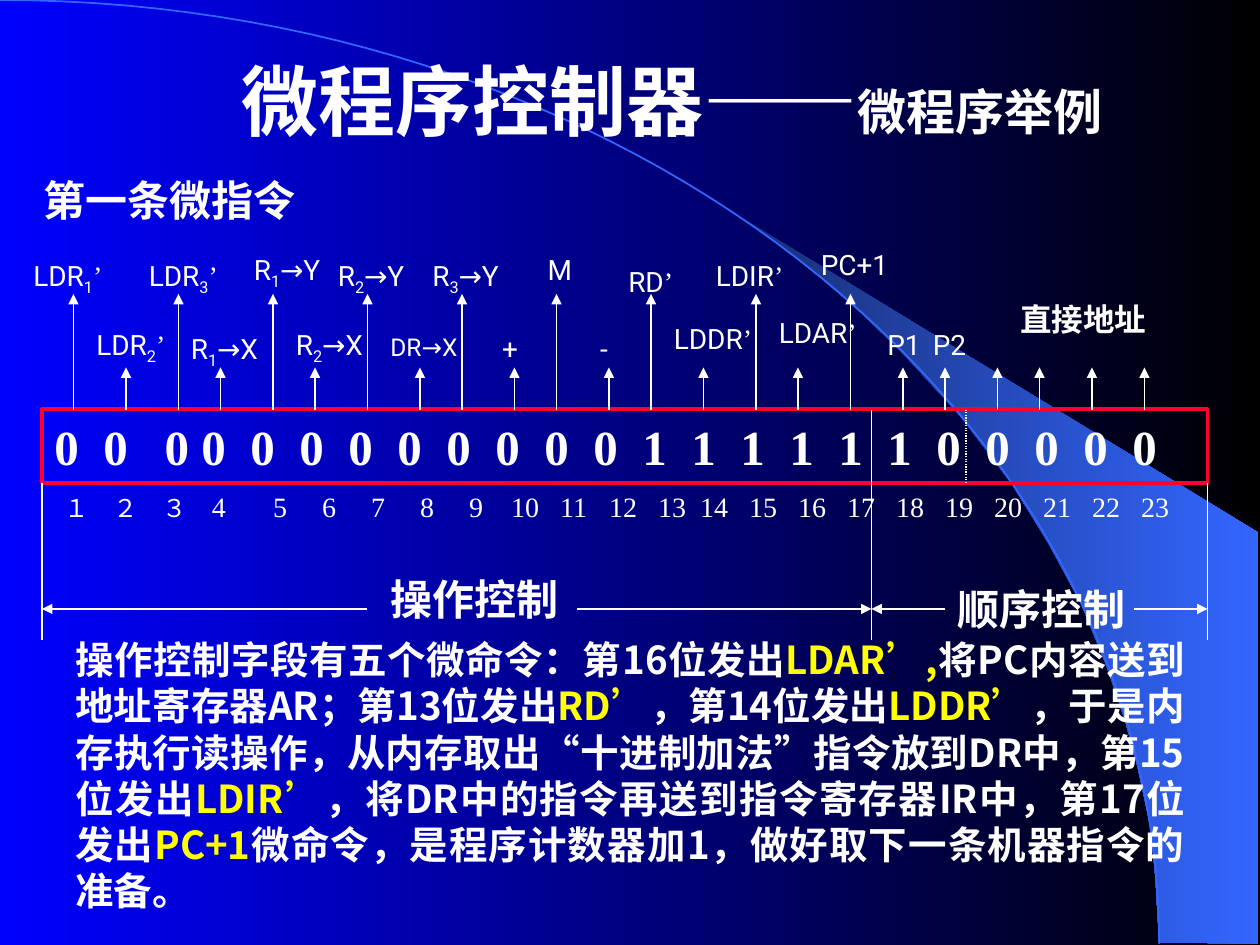
from itertools import groupby
from typing import NamedTuple

from lxml import etree
from pptx import Presentation, util as u
from pptx.dml.color import RGBColor
from pptx.enum import dml, shapes, text
from pptx.oxml.ns import qn

GRID = 2.54 / 12  # cm; the slide is 120 x 90 grid steps
WHITE, YELLOW, RED, BLUE = "FFFFFF", "FFFF00", "FF0033", "3366FF"
SANS, SERIF, HAN = "Roboto", "Times New Roman", "Noto Sans CJK SC"


class Run(NamedTuple):
    text: str
    size: float
    font: str = SANS
    color: str = WHITE
    bold: bool = False
    sub: bool = False


class Label(NamedTuple):
    x: float
    y: float
    head: str
    sub: str = ""
    tail: str = ""
    pad: int = 0  # left shift in widths of a space
    size: int = 16


class Line(NamedTuple):
    x1: float
    y1: float
    x2: float
    y2: float
    arrow: bool = False
    width: float = 0.75
    dots: bool = False


LABELS = [
    Label(2, 24, "LDR", "1", "’"), Label(8, 30.6, "LDR", "2", "’"),
    Label(13, 24, "LDR", "3", "’"), Label(17, 31, "R", "1", "→X"),
    Label(23, 23.5, "R", "1", "→Y"), Label(27, 30.6, "R", "2", "→X"),
    Label(31, 24, "R", "2", "→Y"), Label(36, 31, "DR→X", size=14),
    Label(40, 24, "R", "3", "→Y"), Label(44, 31, "+", pad=4),
    Label(49, 23.5, "M", pad=3), Label(54, 31, "-", pad=3),
    Label(58, 24.6, "RD’", pad=1), Label(63, 30, "LDDR’"),
    Label(67, 24, "LDIR’"), Label(73, 29.5, "LDAR’"),
    Label(77, 23, "PC+1"), Label(82, 30.6, "P1", pad=2),
    Label(87, 30.6, "P2", pad=1),
]
TALL = [7, 17, 26, 35, 44, 53, 62, 72, 81]
SHORT = [12, 21, 30, 40, 49, 58, 67, 76, 86, 90, 95, 99, 104, 109]
RULES = [
    Line(92, 39, 92, 46, dots=True), Line(83, 39, 83, 46, width=1),
    *[Line(x, 46, x, 61) for x in (4, 83, 115)],
    Line(35, 58, 4, 58, True), Line(55, 58, 83, 58, True),
    Line(90, 58, 83, 58, True), Line(108, 58, 115, 58, True),
]
BITS = "00000000000011111100000"
STEP = 28  # points between bits
BIT_TABS = [28, 63] + [84 + STEP * i for i in range(20)]
NUM_TABS = ([28, 56, 84] + [119 + STEP * i for i in range(5)]
            + [255 + STEP * i for i in range(4)]
            + [363 + STEP * i for i in range(10)])
# Bars enclose the yellow parts
BODY = ("操作控制字段有五个微命令：第16位发出|LDAR’,|将PC内容送到地址寄存器AR；"
        "第13位发出|RD’|，第14位发出|LDDR’|，于是内存执行读操作，从内存取出"
        "“十进制加法”指令放到DR中，第15位发出|LDIR’|，将DR中的指令再送到指令"
        "寄存器IR中，第17位发出|PC+1|微命令，是程序计数器加1，"
        "做好取下一条机器指令的准备。")
SWOOSH = [
    (9.2, 7.48), (9.99, 7.49), (9.99, 4.23), (5.89, 1.73), (6.24, 1.99),
    (6.53, 2.22), (6.85, 2.5), (7.16, 2.8), (7.62, 3.3), (8.03, 3.84),
    (8.32, 4.31), (8.58, 4.79), (8.78, 5.28), (8.93, 5.72), (9.03, 6.09),
    (9.13, 6.56), (9.17, 6.96), (9.2, 7.48)]


def at(n: float) -> u.Length:
    return u.Cm(n * GRID)


def rgb(code: str) -> RGBColor:
    return RGBColor.from_string(code)


def blend(fill, first: str, last: str) -> None:
    fill.gradient()
    fill.gradient_angle = 0
    for stop, code, pos in zip(fill.gradient_stops, (first, last), (0, 1)):
        stop.color.rgb = rgb(code)
        stop.position = pos


def style(run, look: Run) -> None:
    font = run.font
    font.size, font.bold, font.name = u.Pt(look.size), look.bold, look.font
    font.color.rgb = rgb(look.color)
    props = run._r.get_or_add_rPr()
    if look.bold:
        etree.SubElement(props, qn("a:ea")).set("typeface", HAN)
    if look.sub:
        props.set("baseline", "-25000")


def write(frame, runs: list[Run], tabs: list[float] = ()) -> None:
    frame.word_wrap = True
    para = frame.paragraphs[0]
    para.alignment = text.PP_ALIGN.LEFT
    if tabs:
        stops = etree.SubElement(para._p.get_or_add_pPr(), qn("a:tabLst"))
        for pos in tabs:
            etree.SubElement(stops, qn("a:tab"), pos=str(u.Pt(pos)), algn="l")
    for look in runs:
        run = para.add_run()
        run.text = look.text
        style(run, look)


def box(slide, x: float, y: float, w: float, h: float, runs: list[Run],
        tabs: list[float] = ()):
    frame = slide.shapes.add_textbox(at(x), at(y), at(w), at(h)).text_frame
    write(frame, runs, tabs)
    return frame


def quotes(words: str, look: Run) -> list[Run]:
    """Give the curly quotes the serif font."""
    return [look._replace(text="".join(part), font=SERIF if curly else look.font)
            for curly, part in groupby(words, lambda c: c in "’“”")]


def label(slide, item: Label) -> None:
    look = Run("", item.size)
    runs = quotes(item.head, look)
    if item.sub:
        runs.append(look._replace(text=item.sub, sub=True))
        runs += quotes(item.tail, look)
    frame = box(slide, item.x, item.y, 11, 4.9 if item.sub else 4.4, runs)
    frame.margin_left = u.Cm(0.25 + 0.14 * item.pad)


def draw(slide, item: Line) -> None:
    line = slide.shapes.add_connector(
        shapes.MSO_CONNECTOR.STRAIGHT,
        at(item.x1), at(item.y1), at(item.x2), at(item.y2))
    line.line.color.rgb = rgb(WHITE)
    line.line.width = u.Pt(item.width)
    if item.dots:
        line.line.dash_style = dml.MSO_LINE.ROUND_DOT
    if item.arrow:
        etree.SubElement(line.line._get_or_add_ln(), qn("a:tailEnd"), type="triangle")
    etree.SubElement(line._element.spPr, qn("a:effectLst"))


def outline(slide, points: list[tuple[float, float]], close: bool):
    spots = [(at(12 * x), at(12 * y)) for x, y in points]
    pen = slide.shapes.build_freeform(*spots[0])
    pen.add_line_segments(spots[1:], close=close)
    shape = pen.convert_to_shape()
    shape.shadow.inherit = False
    return shape


def curve(t: float) -> tuple[float, float]:
    s = 1 - t
    return (3 * s * s * t * 5.08 + (3 * s * t * t + t ** 3) * 9.2,
            3 * s * t * t * 3.35 + t ** 3 * 7.49)


def main() -> None:
    deck = Presentation()
    deck.slide_width, deck.slide_height = at(120), at(90)
    slide = deck.slides.add_slide(deck.slide_layouts[6])

    # Backdrop
    blend(slide.background.fill, "0000FF", "000000")
    swoosh = outline(slide, SWOOSH, True)
    blend(swoosh.fill, "182F76", BLUE)
    swoosh.line.fill.background()
    arc = outline(slide, [curve(i / 60) for i in range(61)], False)
    arc.fill.background()
    arc.line.color.rgb, arc.line.width = rgb(BLUE), u.Pt(1)

    # Headings
    title = box(slide, 13, 4, 102, 11, [
        Run("微程序控制器——", 44, "Arial", bold=True),
        Run("微程序举例", 28, "Arial", bold=True)])
    title.vertical_anchor = text.MSO_ANCHOR.MIDDLE
    title.paragraphs[0].alignment = text.PP_ALIGN.CENTER
    box(slide, 3, 16, 104, 6, [Run("第一条微指令", 24, bold=True)])

    # Instruction word and bit numbers
    word = slide.shapes.add_shape(
        shapes.MSO_SHAPE.RECTANGLE, at(4), at(39), at(111), at(7))
    word.shadow.inherit = False
    word.fill.background()
    word.line.color.rgb, word.line.width = rgb(RED), u.Pt(2.25)
    word.text_frame.vertical_anchor = text.MSO_ANCHOR.MIDDLE
    write(word.text_frame, [Run("\t".join(BITS), 28, SERIF, bold=True)], BIT_TABS)
    nums = "\t".join(str(n) for n in range(4, 24))
    box(slide, 5, 46, 110, 4.4,
        [Run("１\t２\t３\t", 14, SERIF), Run(nums, 16, SERIF)], NUM_TABS)

    # Signals and field limits
    for top, columns in ((28, TALL), (35, SHORT)):
        for x in columns:
            draw(slide, Line(x, 39, x, top, True))
    for item in LABELS:
        label(slide, item)
    for item in RULES:
        draw(slide, item)
    box(slide, 96, 28, 16, 4.8, [Run("直接地址", 18, bold=True)])
    box(slide, 36, 54, 27, 6, [Run("操作控制", 24, bold=True)])
    box(slide, 90, 55, 20, 6, [Run("顺序控制", 24, bold=True)])

    # Explanation
    runs = []
    for i, part in enumerate(BODY.split("|")):
        color = YELLOW if i % 2 else WHITE
        runs += quotes(part, Run("", 22, HAN, color, True))
    body = box(slide, 6, 60, 108, 27.6, runs)
    body.paragraphs[0].alignment = text.PP_ALIGN.JUSTIFY

    deck.save("out.pptx")


if __name__ == "__main__":
    main()
